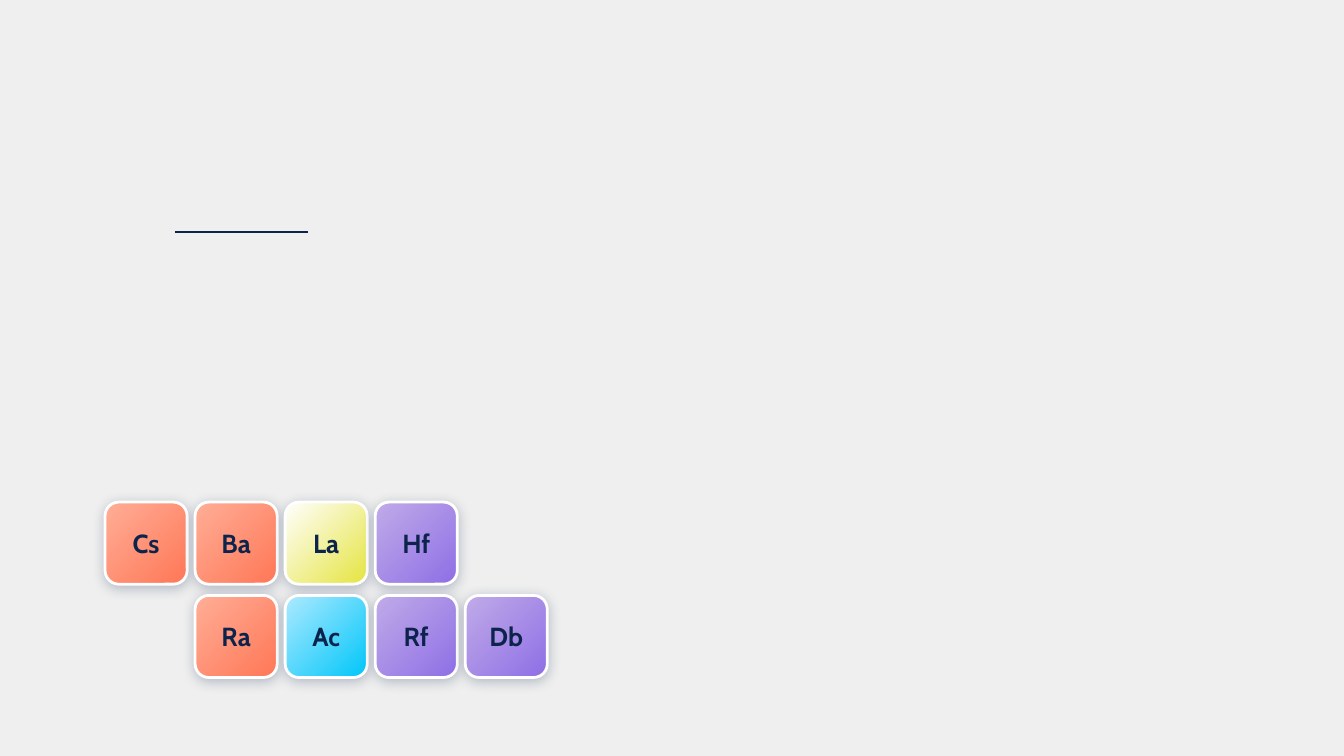
from dataclasses import dataclass

from lxml import etree
from pptx import Presentation
from pptx.dml.color import RGBColor
from pptx.enum.shapes import MSO_CONNECTOR, MSO_SHAPE
from pptx.enum.text import MSO_ANCHOR, PP_ALIGN
from pptx.oxml.ns import qn
from pptx.util import Pt

ROUND = MSO_SHAPE.ROUNDED_RECTANGLE
STRAIGHT = MSO_CONNECTOR.STRAIGHT
MIDDLE = MSO_ANCHOR.MIDDLE
CENTER = PP_ALIGN.CENTER


@dataclass(frozen=True)
class Theme:
    back: str = "EFEFEF"
    ink: str = "0C244C"
    edge: str = "FFFFFF"
    coral: tuple = ("FFAE96", "FF7757")
    lemon: tuple = ("FFFFFF", "E5E440")
    sky: tuple = ("AEEAFF", "00C6F9")
    violet: tuple = ("C0ABE8", "8F6FE6")
    face: str = "Cabin"
    size: int = 14
    stroke: float = 1.5


def rgb(code):
    return RGBColor.from_string(code)


def apply(item, values):
    for name, value in values.items():
        setattr(item, name, value)


class Board:
    """Holds the theme and the current slide."""

    def __init__(self, slide, theme):
        self.slide = slide
        self.theme = theme
        fill = slide.background.fill
        fill.solid()
        fill.fore_color.rgb = rgb(theme.back)

    def stroke(self, line, color):
        line.color.rgb = rgb(color)
        line.width = Pt(self.theme.stroke)

    def rule(self, left, top, width):
        line = self.slide.shapes.add_connector(
            STRAIGHT, Pt(left), Pt(top), Pt(left + width), Pt(top))
        self.stroke(line.line, self.theme.ink)
        etree.SubElement(line.element.spPr, qn("a:effectLst"))

    def shade(self, shape):
        shape.shadow.inherit = False
        effects = shape.element.spPr.find(qn("a:effectLst"))
        outer = etree.SubElement(
            effects, qn("a:outerShdw"), blurRad=str(Pt(6.8)), dist=str(Pt(1.5)),
            dir=str(85 * 60000), algn="bl", rotWithShape="0")
        color = etree.SubElement(outer, qn("a:srgbClr"), val=self.theme.ink)
        etree.SubElement(color, qn("a:alpha"), val="25000")

    def tile(self, text, tint, left, top, side):
        theme = self.theme
        shape = self.slide.shapes.add_shape(
            ROUND, Pt(left), Pt(top), Pt(side), Pt(side))
        shape.adjustments[0] = 0.167

        # Diagonal blend, border and soft shadow
        shape.fill.gradient()
        shape.fill.gradient_angle = 315
        for stop, color in zip(shape.fill.gradient_stops, tint):
            stop.color.rgb = rgb(color)
        self.stroke(shape.line, theme.edge)
        self.shade(shape)

        # Symbol
        frame = shape.text_frame
        pad = Pt(7.2)
        apply(frame, {"vertical_anchor": MIDDLE, "word_wrap": True,
                      "margin_left": pad, "margin_right": pad,
                      "margin_top": pad, "margin_bottom": pad})
        para = frame.paragraphs[0]
        para.alignment = CENTER
        run = para.add_run()
        run.text = text
        apply(run.font, {"name": theme.face, "size": Pt(theme.size), "bold": True})
        run.font.color.rgb = rgb(theme.ink)


def main():
    deck = Presentation()
    apply(deck, {"slide_width": Pt(720), "slide_height": Pt(405)})
    theme = Theme()
    board = Board(deck.slides.add_slide(deck.slide_layouts[6]), theme)

    # Short rule
    board.rule(93.75, 124.3, 71.25)

    # Element tiles: symbol, row, with one tint for each column
    left, top, side = 56.3, 269, 44
    across, down = 48.24, 50
    tints = (theme.coral, theme.coral, theme.lemon, theme.violet, theme.violet)
    rows = (("Cs", "Ba", "La", "Hf", None),
            (None, "Ra", "Ac", "Rf", "Db"))
    special = {"Ac": theme.sky}
    for row, names in enumerate(rows):
        for col, (name, tint) in enumerate(zip(names, tints)):
            if name:
                board.tile(name, special.get(name, tint),
                           left + col * across, top + row * down, side)

    deck.save("out.pptx")


if __name__ == "__main__":
    main()
